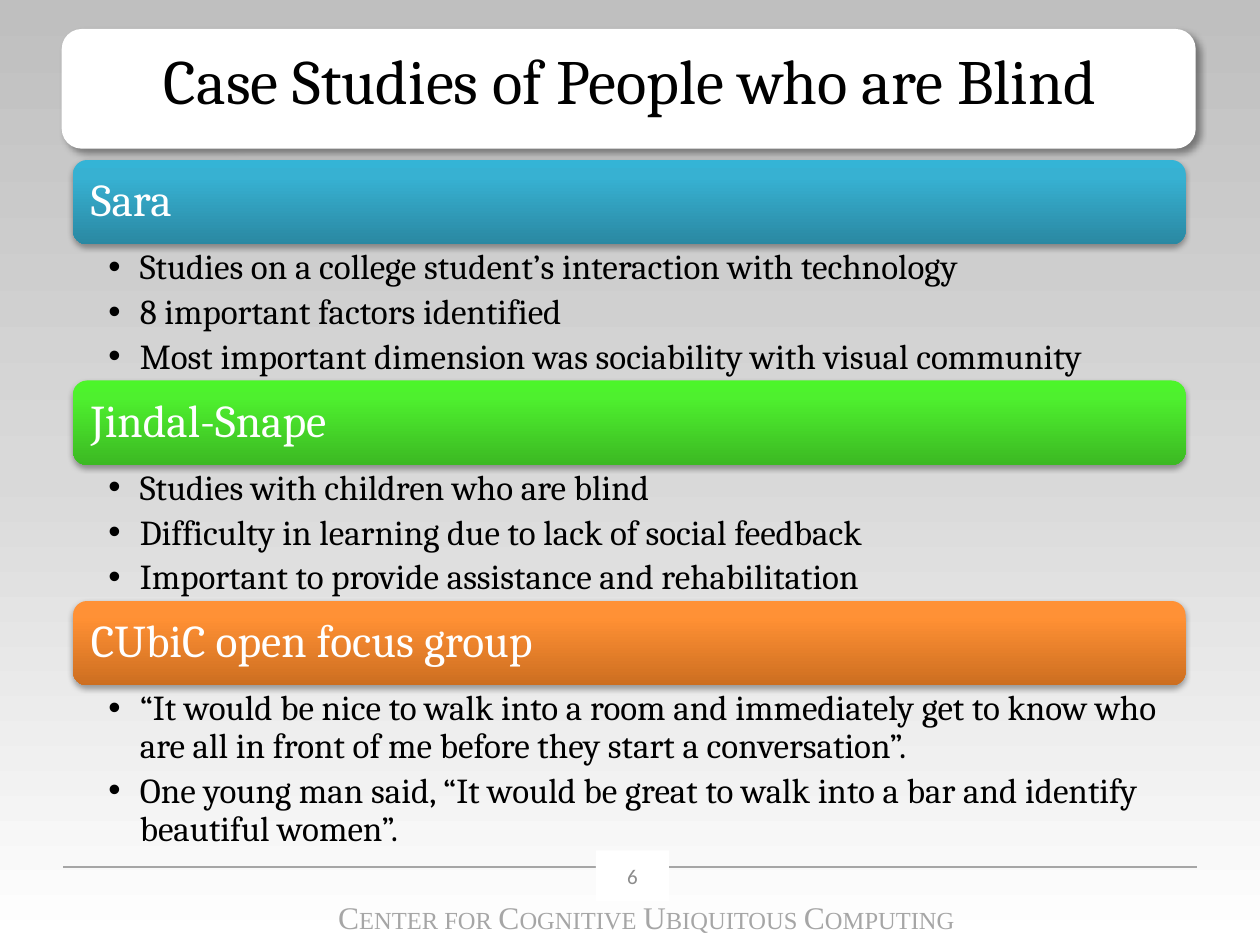
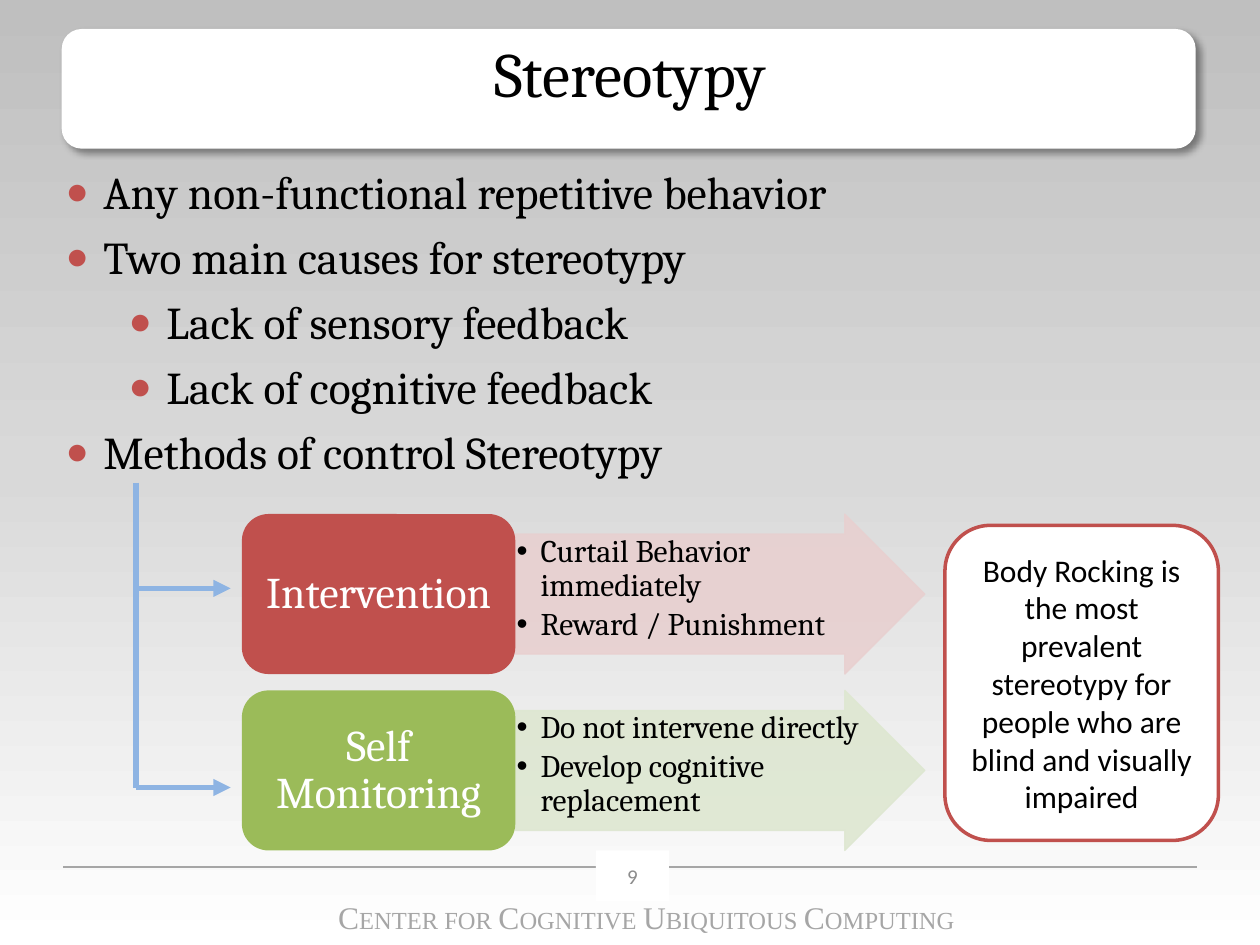
"""Build two slides on case studies of blindness and on stereotypy."""
import itertools

import pptx
import pptx.dml.color
import pptx.enum.shapes
import pptx.enum.text
import pptx.oxml
import pptx.oxml.ns
import pptx.util

Inches = pptx.util.Inches
Pt = pptx.util.Pt
SHAPES = pptx.enum.shapes.MSO_SHAPE
ANCHOR = pptx.enum.text.MSO_ANCHOR
ALIGN = pptx.enum.text.PP_ALIGN

COLORS = {
    "black": "000000", "white": "FFFFFF", "rule": "A6A6A6", "number": "8C8C8C",
    "red": "C0504D", "pale red": "E8D0D0", "green": "9BBB59",
    "pale green": "DEE7D1", "branch": "8EB4E3",
}
BACKGROUND = [(0, "BFBFBF"), (50, "D9D9D9"), (100, "FFFFFF")]
FOOTER = "Center for Cognitive Ubiquitous Computing"
FOOTER_SIZES = {True: 18, False: 14}

CASES = {
    "title": "Case Studies of People who are Blind", "title_top": 0.23,
    "title_height": 0.95, "number": "6",
    "sections": [
        ("Sara", ("34B4D6", "37B1D2", "2A88A2"), [
            "Studies on a college student’s interaction with technology",
            "8 important factors identified",
            "Most important dimension was sociability with visual community"]),
        ("Jindal-Snape", ("4CF52A", "4EF02E", "3CB923"), [
            "Studies with children who are blind",
            "Difficulty in learning due to lack of social feedback",
            "Important to provide assistance and rehabilitation"]),
        ("CUbiC open focus group", ("FF9136", "FF9034", "CC6E20"), [
            "“It would be nice to walk into a room and immediately get to know who "
            "are all in front of me before they start a conversation”.",
            "One young man said, “It would be great to walk into a bar and identify "
            "beautiful women”."]),
    ],
}
STEREOTYPY = {
    "title": "Stereotypy", "title_top": 0.17, "title_height": 1, "number": "9",
    "points": [
        ("Any non-functional repetitive behavior", 0),
        ("Two main causes for stereotypy", 0),
        ("Lack of sensory feedback", 1),
        ("Lack of cognitive feedback", 1),
        ("Methods of control Stereotypy", 0)],
    "methods": [
        ("Intervention", "red", ["Curtail Behavior immediately", "Reward / Punishment"]),
        ("Self Monitoring", "green",
         ["Do not intervene directly", "Develop cognitive replacement"])],
    "note": "Body Rocking is the most prevalent stereotypy for people who are blind "
            "and visually impaired",
}

TITLE = {"size": 36, "align": ALIGN.CENTER, "anchor": ANCHOR.TOP,
         "margins": (0.1, 0.1, 0.1, 0.05)}
NUMBER = {"size": 12, "font": "Calibri", "color": "number", "align": ALIGN.CENTER}
SECTION = {"size": 26, "color": "white", "line_spacing": 0.9, "margins": (0.11,) * 4}
DETAILS = {"size": 20, "line_spacing": 0.9, "after": 4, "anchor": ANCHOR.TOP,
           "margins": (0.28, 0.04, 0.2, 0.04), "bullet": "•", "indent": 0.25}
POINTS = {"size": 26, "before": 6, "anchor": ANCHOR.TOP, "bullet": "●", "indent": 0.3,
          "bullet_color": "red", "bullet_size": 85}
METHOD = {"size": 25, "color": "white", "align": ALIGN.CENTER, "line_spacing": 0.9}
ACTIONS = {"size": 18, "line_spacing": 0.9, "after": 2.7, "anchor": ANCHOR.TOP,
           "margins": (0.01,) * 4, "bullet": "•", "indent": 0.19}
NOTE = {"size": 18, "font": "Calibri", "align": ALIGN.CENTER}

PANEL_SHADOW = {"alpha": 40, "blur": 4, "distance": 3, "direction": 45}
BAR_SHADOW = {"alpha": 35, "blur": 3.1, "distance": 1.8, "direction": 90}


def rgb(name):
    return pptx.dml.color.RGBColor.from_string(COLORS[name])


def add_element(parent, tag, **attributes):
    element = pptx.oxml.parse_xml(f"<{tag} {pptx.oxml.ns.nsdecls('a')}/>")
    for name, value in attributes.items():
        element.set(name, str(value))
    parent.append(element)
    return element


def set_gradient(fill, owner, stops):
    fill.gradient()
    fill.gradient_angle = 270
    stop_list = owner.xpath(".//a:gsLst")[0]
    for stop in list(stop_list):
        stop_list.remove(stop)
    for position, color in stops:
        stop = add_element(stop_list, "a:gs", pos=position * 1000)
        add_element(stop, "a:srgbClr", val=color)


def set_shadow(shape, alpha, blur, distance, direction):
    effects = shape._element.spPr.find(pptx.oxml.ns.qn("a:effectLst"))
    shadow = add_element(effects, "a:outerShdw", blurRad=int(Pt(blur)),
                         dist=int(Pt(distance)), dir=direction * 60000,
                         algn="ctr", rotWithShape=0)
    color = add_element(shadow, "a:srgbClr", val=COLORS["black"])
    add_element(color, "a:alpha", val=alpha * 1000)


def add_shape(slide, kind, box, fill=None, line=None, width=0.75):
    shape = slide.shapes.add_shape(kind, *map(Inches, box))
    shape.shadow.inherit = False
    if fill:
        shape.fill.solid()
        shape.fill.fore_color.rgb = rgb(fill)
    if line:
        shape.line.color.rgb = rgb(line)
        shape.line.width = Pt(width)
    else:
        shape.line.fill.background()
    return shape


def add_line(slide, ends, color, width, arrow=False):
    line = slide.shapes.add_connector(
        pptx.enum.shapes.MSO_CONNECTOR.STRAIGHT, *map(Inches, ends))
    line.line.color.rgb = rgb(color)
    line.line.width = Pt(width)
    if arrow:
        add_element(line.line._get_or_add_ln(), "a:tailEnd", type="triangle")
    add_element(line._element.spPr, "a:effectLst")


def set_frame(shape, style):
    frame = shape.text_frame
    left, top, right, bottom = style.get("margins", (0.1, 0.05, 0.1, 0.05))
    settings = {
        "word_wrap": True, "auto_size": pptx.enum.text.MSO_AUTO_SIZE.NONE,
        "vertical_anchor": style.get("anchor", ANCHOR.MIDDLE),
        "margin_left": Inches(left), "margin_top": Inches(top),
        "margin_right": Inches(right), "margin_bottom": Inches(bottom)}
    for name, value in settings.items():
        setattr(frame, name, value)
    return frame


def add_bullet(paragraph, style, level):
    properties = paragraph._p.get_or_add_pPr()
    indent = style["indent"]
    properties.set("marL", str(int(Inches(indent + 0.5 * level))))
    properties.set("indent", str(int(Inches(-indent))))
    if "bullet_color" in style:
        color = add_element(properties, "a:buClr")
        add_element(color, "a:srgbClr", val=COLORS[style["bullet_color"]])
        add_element(properties, "a:buSzPct", val=style["bullet_size"] * 1000)
    add_element(properties, "a:buFont", typeface="Arial")
    add_element(properties, "a:buChar", char=style["bullet"])


def write(shape, lines, style):
    frame = set_frame(shape, style)
    for index, (text, level) in enumerate(lines):
        paragraph = frame.add_paragraph() if index else frame.paragraphs[0]
        if "bullet" in style:
            add_bullet(paragraph, style, level)
        settings = {
            "level": level, "alignment": style.get("align", ALIGN.LEFT),
            "line_spacing": style.get("line_spacing", 1.0),
            "space_before": Pt(style.get("before", 0) if index else 0),
            "space_after": Pt(style.get("after", 0))}
        for name, value in settings.items():
            setattr(paragraph, name, value)
        run = paragraph.add_run()
        run.text = text
        set_font(run, style["size"], style.get("font", "Cambria"),
                 style.get("color", "black"))


def set_font(run, size, name, color):
    run.font.size, run.font.name = Pt(size), name
    run.font.color.rgb = rgb(color)


def place(shape, box):
    for name, value in zip(("left", "top", "width", "height"), box):
        setattr(shape, name, Inches(value))


def flat(texts):
    return [(text, 0) for text in texts]


def add_footer(slide):
    box = slide.shapes.add_textbox(*map(Inches, (2.17, 7.08, 5.92, 0.4)))
    paragraph = set_frame(box, {"anchor": ANCHOR.TOP}).paragraphs[0]
    paragraph.alignment = ALIGN.CENTER
    for capital, letters in itertools.groupby(FOOTER, str.isupper):
        run = paragraph.add_run()
        run.text = "".join(letters).upper()
        set_font(run, FOOTER_SIZES[capital], "Times New Roman", "rule")


def start_slide(presentation, layout, content):
    slide = presentation.slides.add_slide(presentation.slide_layouts[layout])
    set_gradient(slide.background.fill, slide._element, BACKGROUND)
    panel = add_shape(slide, SHAPES.ROUNDED_RECTANGLE, (0.49, 0.23, 9, 0.95), "white")
    set_shadow(panel, **PANEL_SHADOW)
    slide.shapes._spTree.insert(2, panel._element)
    place(slide.shapes.title, (0.5, content["title_top"], 9, content["title_height"]))
    write(slide.shapes.title, flat([content["title"]]), TITLE)
    add_footer(slide)
    add_line(slide, (0.5, 6.88, 9.5, 6.88), "rule", 0.75)
    number = add_shape(slide, SHAPES.RECTANGLE, (4.73, 6.75, 0.58, 0.4), "white")
    write(number, flat([content["number"]]), NUMBER)
    return slide


def build_cases(presentation):
    slide = start_slide(presentation, 5, CASES)
    left, first_top, width, bar_height, pitch = 0.58, 1.27, 8.83, 0.67, 1.75
    for row, (name, colors, details) in enumerate(CASES["sections"]):
        top = first_top + row * pitch
        bar = add_shape(slide, SHAPES.ROUNDED_RECTANGLE, (left, top, width, bar_height))
        set_gradient(bar.fill, bar._element, zip((0, 20, 100), colors))
        set_shadow(bar, **BAR_SHADOW)
        write(bar, flat([name]), SECTION)
        box = (left, top + bar_height, width, pitch - bar_height)
        write(slide.shapes.add_textbox(*map(Inches, box)), flat(details), DETAILS)


def build_stereotypy(presentation):
    slide = start_slide(presentation, 1, STEREOTYPY)
    body = slide.placeholders[1]
    place(body, (0.42, 1.25, 9.08, 2.75))
    write(body, STEREOTYPY["points"], POINTS)

    left, first_top, card_width, arrow_width, height, pitch = 1.92, 4.08, 2.17, 3.25, 1.27, 1.4
    for row, (name, color, actions) in enumerate(STEREOTYPY["methods"]):
        top, pale = first_top + row * pitch, f"pale {color}"
        arrow = add_shape(slide, SHAPES.RIGHT_ARROW,
                          (left + card_width, top, arrow_width, height), pale, pale)
        arrow.adjustments[0], arrow.adjustments[1] = 0.75, 0.5
        for paint in arrow._element.spPr.xpath(".//a:srgbClr"):
            add_element(paint, "a:alpha", val=90000)
        write(arrow, flat(actions), ACTIONS)
        card = add_shape(slide, SHAPES.ROUNDED_RECTANGLE,
                         (left, top, card_width, height), color)
        write(card, flat([name]), METHOD)

    trunk, tip, branches = 1.08, 1.83, (4.67, 6.25)
    add_line(slide, (trunk, 3.83, trunk, branches[-1]), "branch", 3.25)
    for level in branches:
        add_line(slide, (trunk, level, tip, level), "branch", 3.25, arrow=True)

    note = add_shape(slide, SHAPES.ROUNDED_RECTANGLE, (7.5, 4.17, 2.17, 2.5),
                     "white", "red", 2)
    write(note, flat([STEREOTYPY["note"]]), NOTE)


def main():
    presentation = pptx.Presentation()
    presentation.slide_width, presentation.slide_height = Inches(10), Inches(7.5)
    build_cases(presentation)
    build_stereotypy(presentation)
    presentation.save("out.pptx")


if __name__ == "__main__":
    main()
